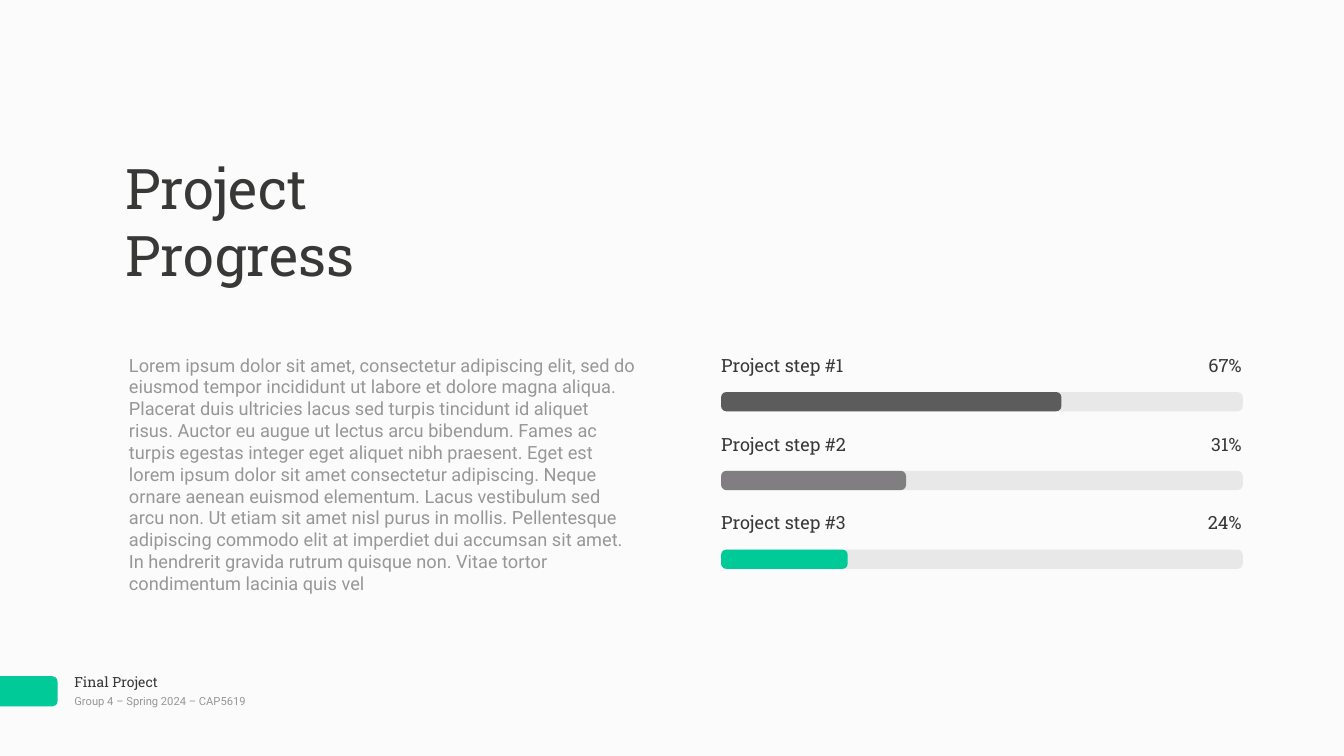
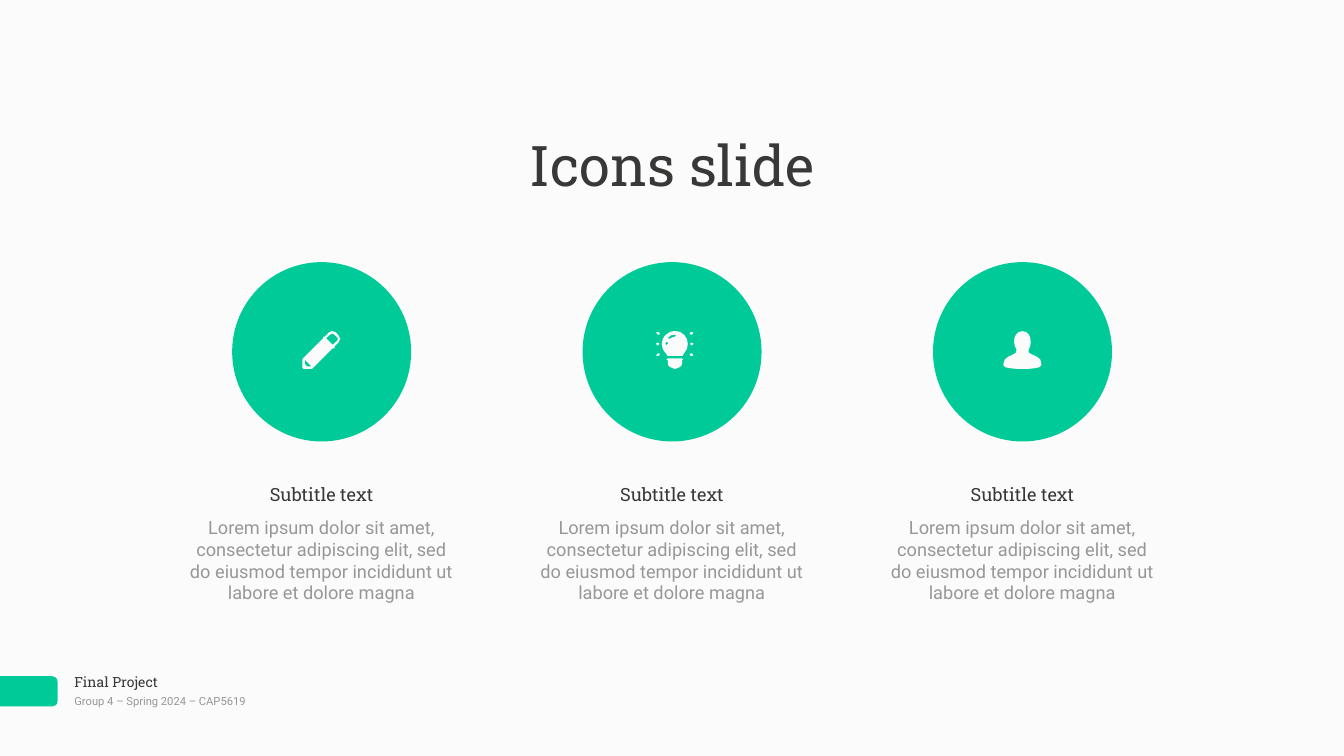
"""Build a progress slide and an icons slide that share one title style and footer."""
from lxml import etree
from pptx import Presentation
from pptx.dml.color import RGBColor
from pptx.enum.shapes import MSO_SHAPE
from pptx.enum.text import MSO_ANCHOR, MSO_AUTO_SIZE, PP_ALIGN
from pptx.oxml.ns import qn
from pptx.util import Cm, Pt

LEFT, CENTER, RIGHT = PP_ALIGN.LEFT, PP_ALIGN.CENTER, PP_ALIGN.RIGHT
TOP, MIDDLE = MSO_ANCHOR.TOP, MSO_ANCHOR.MIDDLE
NO_FIT = MSO_AUTO_SIZE.NONE
ROUNDED = MSO_SHAPE.ROUNDED_RECTANGLE
TITLE_ONLY = 5

COLORS = {
    "paper": "FAFBFA",
    "ink": "383937",
    "gray": "979799",
    "accent": "00CB98",
    "track": "B2B2B1",
    "dark": "5B5C5B",
    "mid": "807E80",
    "icon": "FBFBFC",
}
SERIF, SANS = "Roboto Slab", "Roboto"

FOOTER = ("Final Project", "Group 4 – Spring 2024 – CAP5619")

PROGRESS_TITLE = "Project Progress"
PROGRESS_TEXT = (
    "Lorem ipsum dolor sit amet, consectetur adipiscing elit, sed do eiusmod "
    "tempor incididunt ut labore et dolore magna aliqua. Placerat duis ultricies "
    "lacus sed turpis tincidunt id aliquet risus. Auctor eu augue ut lectus arcu "
    "bibendum. Fames ac turpis egestas integer eget aliquet nibh praesent. Eget est "
    "lorem ipsum dolor sit amet consectetur adipiscing. Neque ornare aenean euismod "
    "elementum. Lacus vestibulum sed arcu non. Ut etiam sit amet nisl purus in "
    "mollis. Pellentesque adipiscing commodo elit at imperdiet dui accumsan sit "
    "amet. In hendrerit gravida rutrum quisque non. Vitae tortor condimentum "
    "lacinia quis vel"
)
STEPS = [
    ("Project step #1", "67%", 17.15, "dark"),
    ("Project step #2", "31%", 9.32, "mid"),
    ("Project step #3", "24%", 6.38, "accent"),
]

ICONS_TITLE = "Icons slide"
SUBTITLE = "Subtitle text"
ICON_TEXT = (
    "Lorem ipsum dolor sit amet, consectetur adipiscing elit, sed do eiusmod "
    "tempor incididunt ut labore et dolore magna"
)

UNIT = Cm(0.0254)
ICON_SIZE = 75
RAY_AXIS = 51

TAB = [[(0, 0), (0, 60), (114, 60), (119, 60, 124, 56, 124, 49), (124, 11),
        (124, 4, 119, 0, 114, 0)]]

PENCIL = [
    [(72, 9), (66, 2), (62, -1, 56, -1, 53, 2), (44, 11), (43, 10, 42, 10, 41, 11),
     (40, 12, 40, 13, 41, 14), (1, 54), (0, 55, 0, 55, 0, 56), (0, 72),
     (0, 74, 1, 75, 2, 75), (19, 75), (20, 74), (60, 34), (61, 35, 63, 35, 64, 34),
     (64, 33, 64, 31, 64, 30), (72, 22), (76, 18, 76, 12, 72, 9)],
    [(18, 70), (9, 70), (5, 65), (5, 57)],
    [(69, 19), (60, 27), (47, 14), (56, 6), (58, 4, 61, 4, 62, 6), (69, 12),
     (71, 14, 71, 17, 69, 19)],
]

SIDE_RAY = [(7, 25), (7, 24, 6, 23, 5, 23), (3, 23), (1, 23, 0, 24, 0, 25),
            (0, 27, 1, 28, 3, 28), (5, 28), (6, 28, 7, 27, 7, 25)]
UPPER_RAY = [(8, 6), (8, 5, 8, 4, 7, 3), (5, 2), (4, 1, 2, 1, 1, 2),
             (1, 3, 1, 5, 2, 5), (4, 7), (6, 8, 7, 7, 8, 6)]


def mirror(outline, width=None, height=None):
    """Flip an outline across the given width, height or both."""
    sizes = (width, height)
    return [tuple(v if sizes[i % 2] is None else sizes[i % 2] - v
                  for i, v in enumerate(segment)) for segment in outline]


LEFT_RAYS = [SIDE_RAY, UPPER_RAY, mirror(UPPER_RAY, height=RAY_AXIS)]
BULB = [
    [(20, 44), (9, 34, 9, 17, 20, 7), (30, -3, 46, -3, 56, 7),
     (66, 17, 66, 34, 56, 44), (54, 45, 53, 47, 53, 49), (23, 49),
     (22, 47, 21, 45, 20, 44)],
    [(52, 54), (24, 54), (22, 54, 21, 55, 21, 56), (21, 57, 22, 58, 24, 58),
     (24, 65), (24, 67, 25, 70, 28, 71), (37, 75), (37, 75, 38, 75, 39, 75),
     (48, 71), (50, 70, 52, 67, 52, 65), (52, 58), (53, 58, 54, 57, 54, 56),
     (54, 55, 53, 54, 52, 54)],
    [(24, 25), (24, 22, 23, 21, 22, 21), (21, 21, 19, 22, 19, 25),
     (19, 27, 20, 28, 21, 28), (23, 28, 24, 27, 24, 25)],
    [(28, 15), (31, 13, 34, 11, 38, 11), (39, 11, 40, 10, 40, 9),
     (40, 8, 39, 7, 38, 7), (33, 7, 28, 8, 25, 12), (24, 13, 24, 14, 25, 15),
     (25, 16, 27, 16, 28, 15)],
] + LEFT_RAYS + [mirror(ray, width=ICON_SIZE) for ray in LEFT_RAYS]

PERSON = [
    [(67, 51), (54, 45), (53, 44, 51, 43, 50, 42), (49, 40, 49, 38, 50, 37),
     (53, 32, 54, 26, 54, 21), (54, 10, 49, 0, 38, 0), (26, 0, 21, 10, 21, 21),
     (21, 26, 23, 32, 26, 37), (26, 38, 26, 40, 25, 42), (24, 43, 23, 44, 21, 45),
     (9, 51), (4, 53, 0, 58, 0, 64), (0, 68), (0, 73, 21, 75, 38, 75),
     (55, 75, 75, 73, 75, 68), (75, 64), (75, 58, 72, 53, 67, 51)],
]

ICONS = [(PENCIL, 15.24), (BULB, 33.05), (PERSON, 50.57)]


def rgb(name):
    return RGBColor.from_string(COLORS[name])


def paint(sp, color):
    sp.shadow.inherit = False
    sp.fill.solid()
    sp.fill.fore_color.rgb = rgb(color)
    sp.line.fill.background()


def write(sp, text, size, font, color, align=LEFT, anchor=TOP):
    tf = sp.text_frame
    tf.text = text
    tf.word_wrap = True
    tf.auto_size = NO_FIT
    tf.vertical_anchor = anchor
    tf.margin_left = tf.margin_right = tf.margin_top = tf.margin_bottom = Cm(0.15)
    p = tf.paragraphs[0]
    p.alignment = align
    r = p.runs[0]
    r.font.size = Pt(size)
    r.font.name = font
    r.font.color.rgb = rgb(color)


def add_text(slide, box, *style):
    write(slide.shapes.add_textbox(*map(Cm, box)), *style)


def add_rounded(slide, box, radius, color, alpha=None):
    sp = slide.shapes.add_shape(ROUNDED, *map(Cm, box))
    sp.adjustments[0] = radius
    paint(sp, color)
    if alpha is not None:
        clr = sp.fill._xPr.find(qn("a:solidFill"))[0]
        etree.SubElement(clr, qn("a:alpha")).set("val", str(alpha * 1000))


def add_outline(slide, outlines, left, top, color):
    """Draw outlines of points and cubic curves as one freeform."""
    ends = [[segment[-2:] for segment in outline] for outline in outlines]
    fb = slide.shapes.build_freeform(*ends[0][0], scale=UNIT)
    for i, points in enumerate(ends):
        if i:
            fb.move_to(*points[0])
        fb.add_line_segments(points[1:], close=True)
    sp = fb.convert_to_shape(Cm(left), Cm(top))
    paint(sp, color)

    origin = [min(point[axis] for points in ends for point in points) for axis in (0, 1)]
    segments = [segment for outline in outlines for segment in outline[1:]]
    for line, segment in zip(list(sp._element.iter(qn("a:lnTo"))), segments):
        if len(segment) == 2:
            continue
        curve = etree.Element(qn("a:cubicBezTo"))
        for x, y in zip(segment[::2], segment[1::2]):
            pt = etree.SubElement(curve, qn("a:pt"))
            pt.set("x", str(x - origin[0]))
            pt.set("y", str(y - origin[1]))
        line.getparent().replace(line, curve)


def add_slide(prs, title, box, align):
    slide = prs.slides.add_slide(prs.slide_layouts[TITLE_ONLY])
    sp = slide.shapes.title
    sp.left, sp.top, sp.width, sp.height = map(Cm, box)
    write(sp, title, 80, SERIF, "ink", align)
    return slide


def move_footer_to_master(prs, slide):
    """Draw the footer on a slide, then hand its shapes to the master."""
    count = len(slide.shapes)
    name, group = FOOTER
    add_text(slide, (3.6, 33.78, 8.1, 1.14), name, 20, SERIF, "ink")
    add_text(slide, (3.6, 34.87, 11.99, 0.97), group, 16, SANS, "gray", LEFT, MIDDLE)
    add_outline(slide, TAB, -0.25, 34.08, "accent")
    tree = prs.slide_master.shapes._spTree
    for sp in list(slide.shapes)[count:]:
        tree.append(sp._element)


def progress_slide(prs):
    slide = add_slide(prs, PROGRESS_TITLE, (6.17, 7.59, 20.35, 7.11), LEFT)
    move_footer_to_master(prs, slide)
    add_text(slide, (6.35, 17.69, 25.86, 12.52), PROGRESS_TEXT, 26, SANS, "gray")
    for i, (label, percent, width, color) in enumerate(STEPS):
        top = 17.7 + i * 3.97
        bar_top = top + 2.06
        add_rounded(slide, (36.34, bar_top, 26.29, 0.97), 0.27, "track", 25)
        add_rounded(slide, (36.34, bar_top, width, 0.97), 0.27, color)
        add_text(slide, (36.19, top, 7.7, 1.4), label, 26, SERIF, "ink")
        add_text(slide, (55.02, top, 7.7, 1.4), percent, 26, SERIF, "ink", RIGHT)


def icons_slide(prs):
    slide = add_slide(prs, ICONS_TITLE, (23.7, 6.45, 20.35, 3.71), CENTER)
    for i in range(len(ICONS)):
        left = 9.2 + i * 17.66
        add_text(slide, (left + 1.28, 24.21, 11.46, 1.4), SUBTITLE, 26, SERIF, "ink", CENTER)
        add_rounded(slide, (left + 2.5, 13.21, 9.02, 9.04), 0.5, "accent")
        add_text(slide, (left, 25.87, 14, 4.72), ICON_TEXT, 26, SANS, "gray", CENTER)
    for icon, left in ICONS:
        add_outline(slide, icon, left, 16.69, "icon")


def main():
    prs = Presentation()
    prs.slide_width, prs.slide_height = Cm(67.73), Cm(38.1)
    fill = prs.slide_master.background.fill
    fill.solid()
    fill.fore_color.rgb = rgb("paper")
    progress_slide(prs)
    icons_slide(prs)
    prs.save("out.pptx")


if __name__ == "__main__":
    main()
